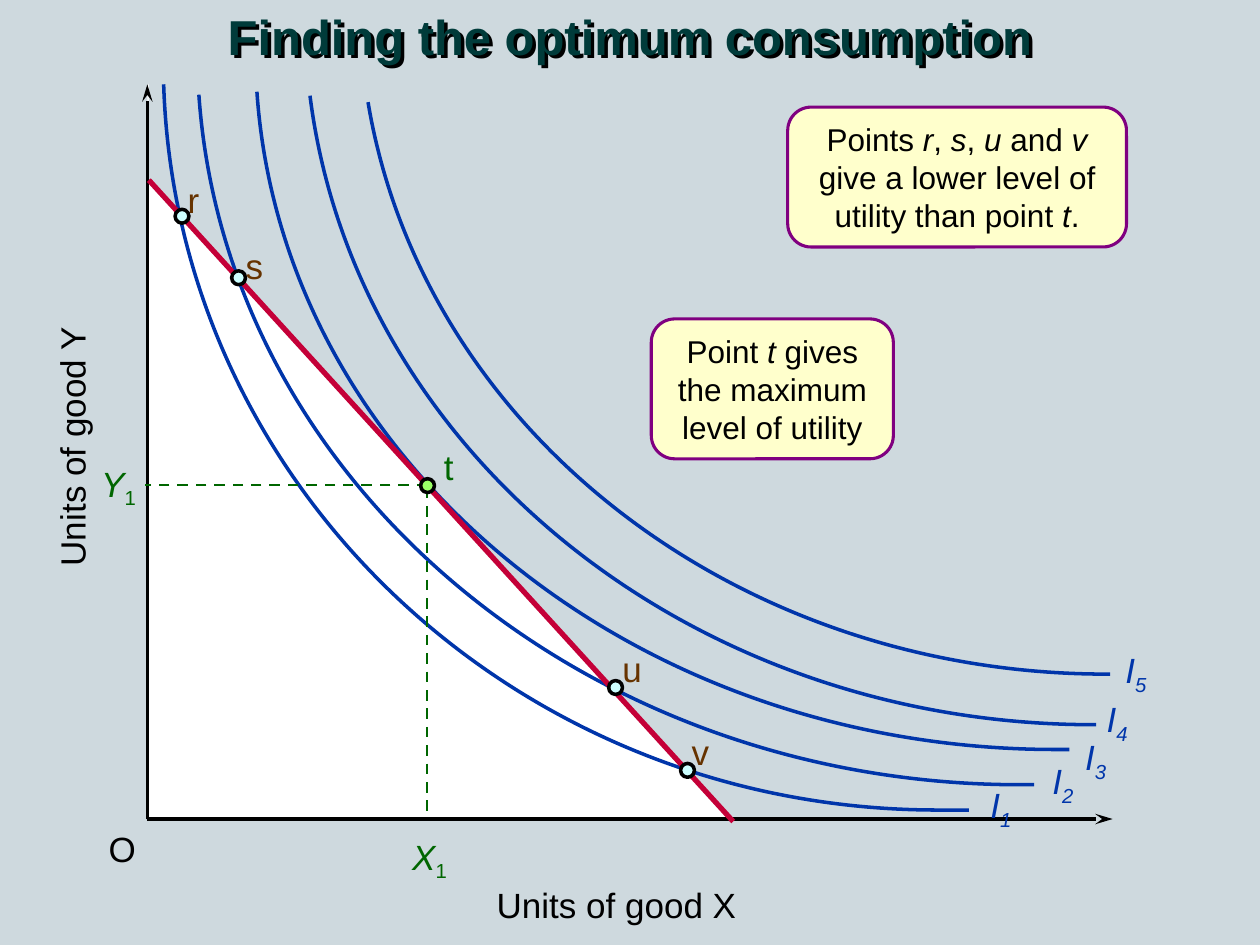
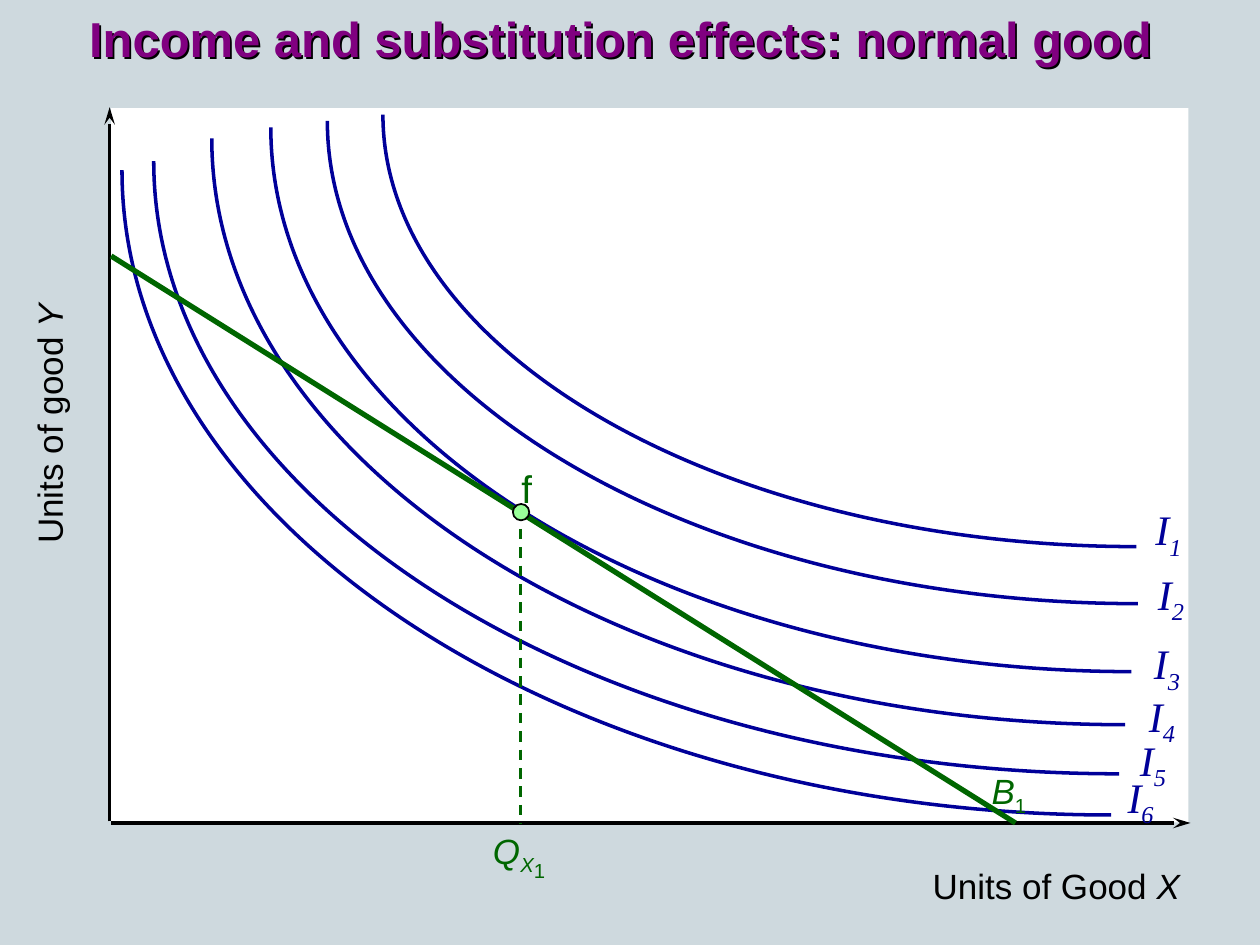
import pptx
import pptx.dml.color
import pptx.enum.dml
import pptx.enum.shapes
import pptx.enum.text
import pptx.oxml
import pptx.oxml.ns
import pptx.util

Cm = pptx.util.Cm
Pt = pptx.util.Pt
Shape = pptx.enum.shapes.MSO_SHAPE
Align = pptx.enum.text.PP_ALIGN
namespace = pptx.oxml.ns.nsdecls("a")

BACKDROP, WHITE, BLACK = "CED9DE", "FFFFFF", "000000"
GREEN, BROWN, BLUE, NAVY = "006600", "663300", "0035AA", "000099"
RED, PURPLE, TEAL, CREAM = "C40038", "800080", "003B3A", "FFFFCC"
PALE_BLUE, LIME, MINT = "CCFFFF", "99FF66", "99FF99"
ELLIPSE_PULL = 0.55


def paint(fill, colour):
    fill.solid()
    fill.fore_color.rgb = pptx.dml.color.RGBColor.from_string(colour)


def write(box, text, colour=BLACK, size=20, font="Arial", bold=False,
          align=Align.CENTER, wrap=False, rotation=0):
    box.rotation = rotation
    frame = box.text_frame
    frame.word_wrap = wrap
    frame.auto_size = pptx.enum.text.MSO_AUTO_SIZE.SHAPE_TO_FIT_TEXT
    para = frame.paragraphs[0]
    para.alignment = align
    spans = [(text, False, 0)] if isinstance(text, str) else text
    for words, italic, baseline in spans:
        span = para.add_run()
        span.text = words
        span.font.size = Pt(size)
        span.font.name = font
        span.font.bold = bold
        span.font.italic = italic
        paint(span.font.fill, colour)
        if baseline:
            span._r.get_or_add_rPr().set("baseline", str(baseline * 1000))


optimum_curves = [
    (22.38, 13.59, 22.3, 14.86, 8.53, 8.69, 7.42, 2.06),
    (22.1, 14.61, 22.05, 13.94, 7.16, 9.14, 6.25, 1.93),
    (21.56, 15.11, 21.29, 12.75, 5.69, 9.32, 5.18, 1.85),
    (20.85, 15.82, 20.57, 11.81, 4.55, 9.73, 4.01, 1.91),
    (19.53, 16.33, 18.9, 10.46, 3.56, 9.86, 3.3, 1.7),
]
quarter_ellipses = [
    (7.72, 2.31, 22.91, 11.02),
    (6.6, 2.44, 22.94, 12.17),
    (5.46, 2.57, 22.81, 13.54),
    (4.27, 2.79, 22.68, 14.61),
    (3.1, 3.25, 22.56, 15.6),
    (2.46, 3.43, 22.4, 16.43),
]
normal_good_curves = [
    (right, bottom, right, right - ELLIPSE_PULL * (right - left),
     left, top + ELLIPSE_PULL * (bottom - top), left, top)
    for left, top, right, bottom in quarter_ellipses
]

optimum_labels = [
    ("Units of good Y", (-1.24, 8.46, 5.36, 1.09), {"rotation": 270}),
    ("O", (1.93, 16.56, 1.07, 1.09), {}),
    ("Units of good X", (9.75, 17.68, 5.36, 1.09), {}),
    ("r", (3.53, 3.48, 0.74, 1.09), {"colour": BROWN}),
    ("s", (4.7, 4.8, 0.86, 1.09), {"colour": BROWN}),
    ("u", (12.29, 12.93, 0.91, 1.09), {"colour": BROWN}),
    ("v", (13.69, 14.61, 0.86, 1.09), {"colour": BROWN}),
    ("t", (8.69, 8.86, 0.71, 1.09), {"colour": GREEN}),
    ([("Y", True, 0), ("1", False, -25)], (1.78, 9.19, 1.22, 1.22), {"colour": GREEN}),
    ([("X", True, 0), ("1", False, -25)], (8.05, 16.71, 1.22, 1.22), {"colour": GREEN}),
]
optimum_corners = [(19.71, 15.67), (20.96, 15.19), (21.62, 14.71), (22.05, 13.94), (22.43, 12.95)]
for number, (left, top) in enumerate(optimum_corners, 1):
    optimum_labels.append(([("I", True, 0), (str(number), True, -25)],
                           (left, top, 0.94, 1.22), {"colour": BLUE}))

normal_good_labels = [
    ([("Units of good ", False, 0), ("Y", True, 0)], (-1.7, 8, 5.36, 1.09), {"rotation": 270}),
    ([("Units of Good ", False, 0), ("X", True, 0)], (18.54, 17.3, 5.51, 1.09), {}),
    ([("B", True, 0), ("1", False, -25)], (19.74, 15.39, 1.22, 1.22),
     {"colour": GREEN, "align": Align.LEFT}),
    ("f", (10.26, 9.25, 0.74, 1.19), {"colour": GREEN, "size": 22, "align": Align.LEFT}),
    ([("Q", True, 0), ("X", True, -25), ("1", False, -40)], (9.68, 16.59, 1.57, 1.32),
     {"colour": GREEN}),
]
normal_good_corners = [(23.04, 10.03), (23.09, 11.33), (23.01, 12.73),
                       (22.91, 13.79), (22.73, 14.68), (22.48, 15.42)]
for number, (left, top) in enumerate(normal_good_corners, 1):
    normal_good_labels.append((
        [("I", True, 0), (str(number), True, -25)], (left, top, 1.04, 1.42),
        {"colour": NAVY, "size": 24, "font": "Times New Roman", "align": Align.LEFT}))

diagrams = [
    {
        "title": ("Finding the optimum consumption", (0, 0, 25.4, 1.45), TEAL, 0.1),
        "plot": (2.97, 1.7, 19.48, 14.81),
        "mask": [(14.96, 16.69), (3, 3.61), (3, 1.6), (22.89, 1.6), (22.89, 16.69)],
        "curves": optimum_curves,
        "curve_colour": BLUE,
        "axes": [(2.97, 16.51, 2.97, 1.7), (2.97, 16.51, 22.43, 16.51)],
        "budget": (3, 3.63, 14.78, 16.56, RED),
        "guides": [(8.61, 9.78, 2.92, 9.78), (8.61, 9.83, 8.61, 16.46)],
        "dots": [(3.53, 4.22, 0.28, PALE_BLUE, 2), (4.67, 5.46, 0.28, PALE_BLUE, 2),
                 (12.27, 13.72, 0.28, PALE_BLUE, 2), (13.72, 15.39, 0.28, PALE_BLUE, 2),
                 (8.48, 9.65, 0.28, LIME, 2)],
        "labels": optimum_labels,
        "callouts": [
            ([("Points ", False, 0), ("r", True, 0), (", ", False, 0), ("s", True, 0),
              (", ", False, 0), ("u", True, 0), (" and ", False, 0), ("v", True, 0),
              (" give a lower level of utility than point ", False, 0),
              ("t", True, 0), (".", False, 0)], (15.88, 2.16, 6.83, 2.82)),
            ([("Point ", False, 0), ("t", True, 0),
              (" gives the maximum level of utility", False, 0)], (13.13, 6.43, 4.88, 2.82)),
        ],
    },
    {
        "title": ("Income and substitution effects: normal good",
                  (0, 0.05, 25.02, 1.45), PURPLE, 0.05),
        "plot": (2.24, 2.18, 21.72, 14.4),
        "mask": [],
        "curves": normal_good_curves,
        "curve_colour": NAVY,
        "axes": [(2.21, 16.56, 2.21, 2.16), (2.24, 16.59, 24, 16.59)],
        "budget": (2.24, 5.16, 20.47, 16.59, GREEN),
        "guides": [(10.49, 10.29, 10.49, 16.61)],
        "dots": [(10.34, 10.16, 0.33, MINT, 1)],
        "labels": normal_good_labels,
        "callouts": [],
    },
]

deck = pptx.Presentation()
deck.slide_width = Cm(25.4)
deck.slide_height = Cm(19.05)
paint(deck.slide_master.background.fill, BACKDROP)

for diagram in diagrams:
    page = deck.slides.add_slide(deck.slide_layouts[6])
    shapes = page.shapes

    plot = shapes.add_shape(Shape.RECTANGLE, *map(Cm, diagram["plot"]))
    plot.shadow.inherit = False
    paint(plot.fill, WHITE)
    plot.line.fill.background()

    if diagram["mask"]:
        corners = [(Cm(x), Cm(y)) for x, y in diagram["mask"]]
        builder = shapes.build_freeform(*corners[0])
        builder.add_line_segments(corners[1:], close=True)
        mask = builder.convert_to_shape()
        mask.shadow.inherit = False
        paint(mask.fill, BACKDROP)
        mask.line.fill.background()

    for tip_x, tip_y, bend_x, pull_x, low_x, low_y, end_x, end_y in diagram["curves"]:
        points = [(pull_x, tip_y), (low_x, low_y), (end_x, end_y)]
        if bend_x != tip_x:
            points.insert(0, (bend_x, tip_y))
        builder = shapes.build_freeform(Cm(tip_x), Cm(tip_y))
        builder.add_line_segments([(Cm(x), Cm(y)) for x, y in points], close=False)
        curve = builder.convert_to_shape()
        outline = curve._element.find(".//" + pptx.oxml.ns.qn("a:path"))
        bezier = pptx.oxml.parse_xml(f"<a:cubicBezTo {namespace}/>")
        for segment in list(outline)[-3:]:
            bezier.append(segment[0])
            outline.remove(segment)
        outline.append(bezier)
        curve.shadow.inherit = False
        curve.fill.background()
        paint(curve.line.fill, diagram["curve_colour"])
        curve.line.width = Pt(2)

    lines = [(*axis, BLACK, 2, "axis") for axis in diagram["axes"]]
    lines += [(*guide, GREEN, 1.5, "guide") for guide in diagram["guides"]]
    lines.append((*diagram["budget"], 3, "budget"))
    for *ends, colour, width, role in lines:
        line = shapes.add_connector(pptx.enum.shapes.MSO_CONNECTOR.STRAIGHT, *map(Cm, ends))
        paint(line.line.fill, colour)
        line.line.width = Pt(width)
        if role == "guide":
            line.line.dash_style = pptx.enum.dml.MSO_LINE.DASH
        if role == "axis":
            line.line._get_or_add_ln().append(
                pptx.oxml.parse_xml(f'<a:tailEnd {namespace} type="stealth" len="lg"/>'))
        line._element.spPr.append(pptx.oxml.parse_xml(f"<a:effectLst {namespace}/>"))

    for left, top, diameter, colour, width in diagram["dots"]:
        dot = shapes.add_shape(Shape.OVAL, Cm(left), Cm(top), Cm(diameter), Cm(diameter))
        dot.shadow.inherit = False
        paint(dot.fill, colour)
        paint(dot.line.fill, BLACK)
        dot.line.width = Pt(width)

    for text, place, style in diagram["labels"]:
        write(shapes.add_textbox(*map(Cm, place)), text, **style)

    for text, place in diagram["callouts"]:
        callout = shapes.add_shape(Shape.ROUNDED_RECTANGLE, *map(Cm, place))
        callout.shadow.inherit = False
        paint(callout.fill, CREAM)
        paint(callout.line.fill, PURPLE)
        callout.line.width = Pt(1.75)
        write(callout, text, size=18, wrap=True)

    text, place, colour, distance = diagram["title"]
    title = shapes.add_textbox(*map(Cm, place))
    write(title, text, colour=colour, size=28, bold=True, wrap=True)
    title._element.spPr.append(pptx.oxml.parse_xml(
        f'<a:effectLst {namespace}><a:outerShdw dist="{Cm(distance)}" dir="2700000">'
        f'<a:srgbClr val="{BLACK}"/></a:outerShdw></a:effectLst>'))

deck.save("out.pptx")
